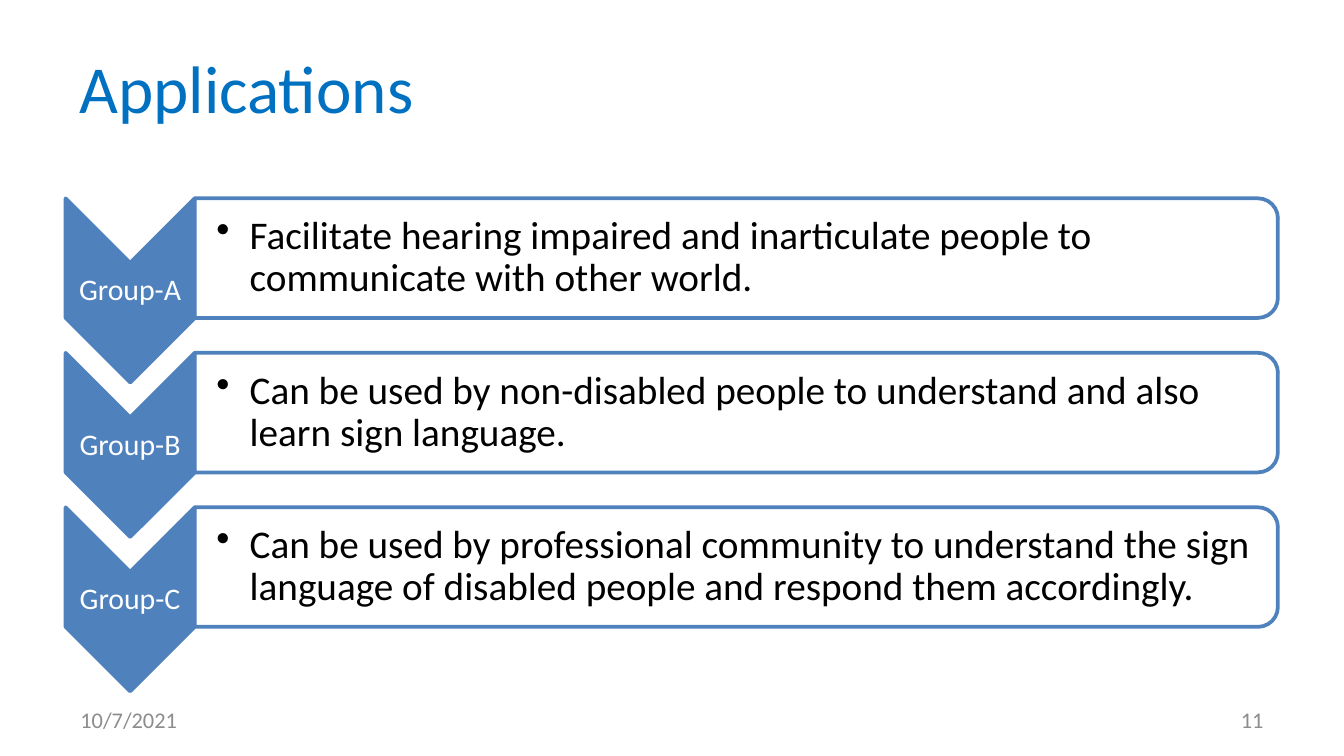
from lxml.etree import SubElement
from pptx import Presentation
from pptx.dml.color import RGBColor
from pptx.enum.shapes import MSO_SHAPE
from pptx.enum.text import MSO_ANCHOR, PP_ALIGN
from pptx.oxml.ns import qn
from pptx.util import Cm, Pt

FONT = "Calibri"
TITLE_BLUE = RGBColor(0x00, 0x70, 0xC0)
GROUP_BLUE = RGBColor(0x4F, 0x81, 0xBD)
WHITE = RGBColor(0xFF, 0xFF, 0xFF)
BLACK = RGBColor(0x00, 0x00, 0x00)
FOOTER_GRAY = RGBColor(0x8C, 0x8C, 0x8C)

GROUPS = [
    ("Group-A", "Facilitate hearing impaired and inarticulate people to "
                "communicate with other world."),
    ("Group-B", "Can be used by non-disabled people to understand and also "
                "learn sign language."),
    ("Group-C", "Can be used by professional community to understand the sign "
                "language of disabled people and respond them accordingly."),
]
FIRST_TOP = 3.75
ROW_PITCH = 2.92
CHEVRON_LEFT, CHEVRON_WIDTH, CHEVRON_HEIGHT = 1.24, 2.44, 3.48
PANEL_LEFT, PANEL_WIDTH, PANEL_HEIGHT = 3.68, 20.47, 2.26


def add_text(page, left, top, width, height, text, size, color,
             align=PP_ALIGN.LEFT, insets=(0.25, 0.13, 0.25, 0.13)):
    box = page.shapes.add_textbox(Cm(left), Cm(top), Cm(width), Cm(height))
    frame = box.text_frame
    frame.word_wrap = True
    frame.vertical_anchor = MSO_ANCHOR.MIDDLE
    (frame.margin_left, frame.margin_top,
     frame.margin_right, frame.margin_bottom) = map(Cm, insets)
    para = frame.paragraphs[0]
    para.alignment = align
    span = para.add_run()
    span.text = text
    span.font.name = FONT
    span.font.size = Pt(size)
    span.font.color.rgb = color
    return para


def add_turned_shape(page, kind, left, top, width, height, fill_color):
    shift = (width - height) / 2
    shape = page.shapes.add_shape(kind, Cm(left + shift), Cm(top - shift),
                                  Cm(height), Cm(width))
    shape.rotation = 90
    shape.shadow.inherit = False
    shape.fill.solid()
    shape.fill.fore_color.rgb = fill_color
    shape.line.color.rgb = GROUP_BLUE
    shape.line.width = Pt(2)
    return shape


def set_opacity(shape, percent):
    color = shape.fill._xPr.find(qn("a:solidFill"))[0]
    SubElement(color, qn("a:alpha"), val=str(percent * 1000))


def set_bullet(para, indent):
    properties = para._p.get_or_add_pPr()
    properties.set("marL", str(Cm(indent)))
    properties.set("indent", str(-Cm(indent)))
    SubElement(properties, qn("a:buChar"), char="•")


def add_group(page, top, label, description):
    add_turned_shape(page, MSO_SHAPE.CHEVRON, CHEVRON_LEFT, top,
                     CHEVRON_WIDTH, CHEVRON_HEIGHT, GROUP_BLUE)
    para = add_text(page, CHEVRON_LEFT, top + 1.23, CHEVRON_WIDTH, 1.04, label,
                    16, WHITE, PP_ALIGN.CENTER, (0.03, 0.03, 0.03, 0.03))
    para.line_spacing = 0.9

    panel = add_turned_shape(page, MSO_SHAPE.ROUND_2_SAME_RECTANGLE, PANEL_LEFT,
                             top, PANEL_WIDTH, PANEL_HEIGHT, WHITE)
    set_opacity(panel, 90)
    para = add_text(page, PANEL_LEFT, top + 0.11, PANEL_WIDTH - 0.1,
                    PANEL_HEIGHT - 0.22, description, 21, BLACK,
                    insets=(0.41, 0.03, 0.03, 0.03))
    para.line_spacing = 0.9
    set_bullet(para, 0.63)


def main():
    deck = Presentation()
    deck.slide_width = Cm(25.4)
    deck.slide_height = Cm(14.29)
    page = deck.slides.add_slide(deck.slide_layouts[6])

    add_text(page, 1.25, 0.36, 22.9, 2.54, "Applications", 36, TITLE_BLUE)
    for row, (label, description) in enumerate(GROUPS):
        add_group(page, FIRST_TOP + row * ROW_PITCH, label, description)
    add_text(page, 18.21, 13.23, 5.92, 0.76, "11", 12, FOOTER_GRAY,
             PP_ALIGN.RIGHT)
    add_text(page, 1.27, 13.23, 5.92, 0.76, "10/7/2021", 12, FOOTER_GRAY)

    deck.save("out.pptx")


if __name__ == "__main__":
    main()
